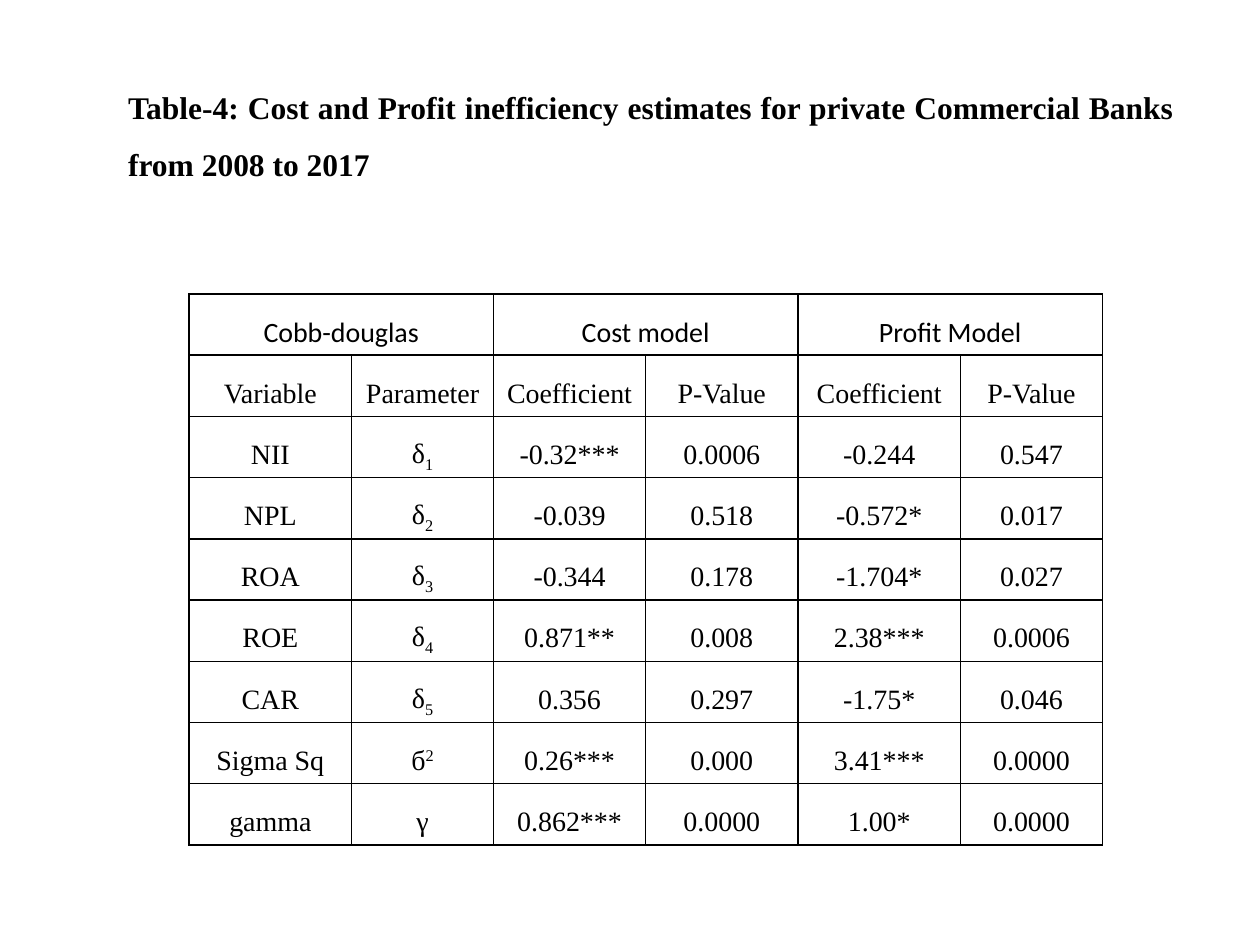
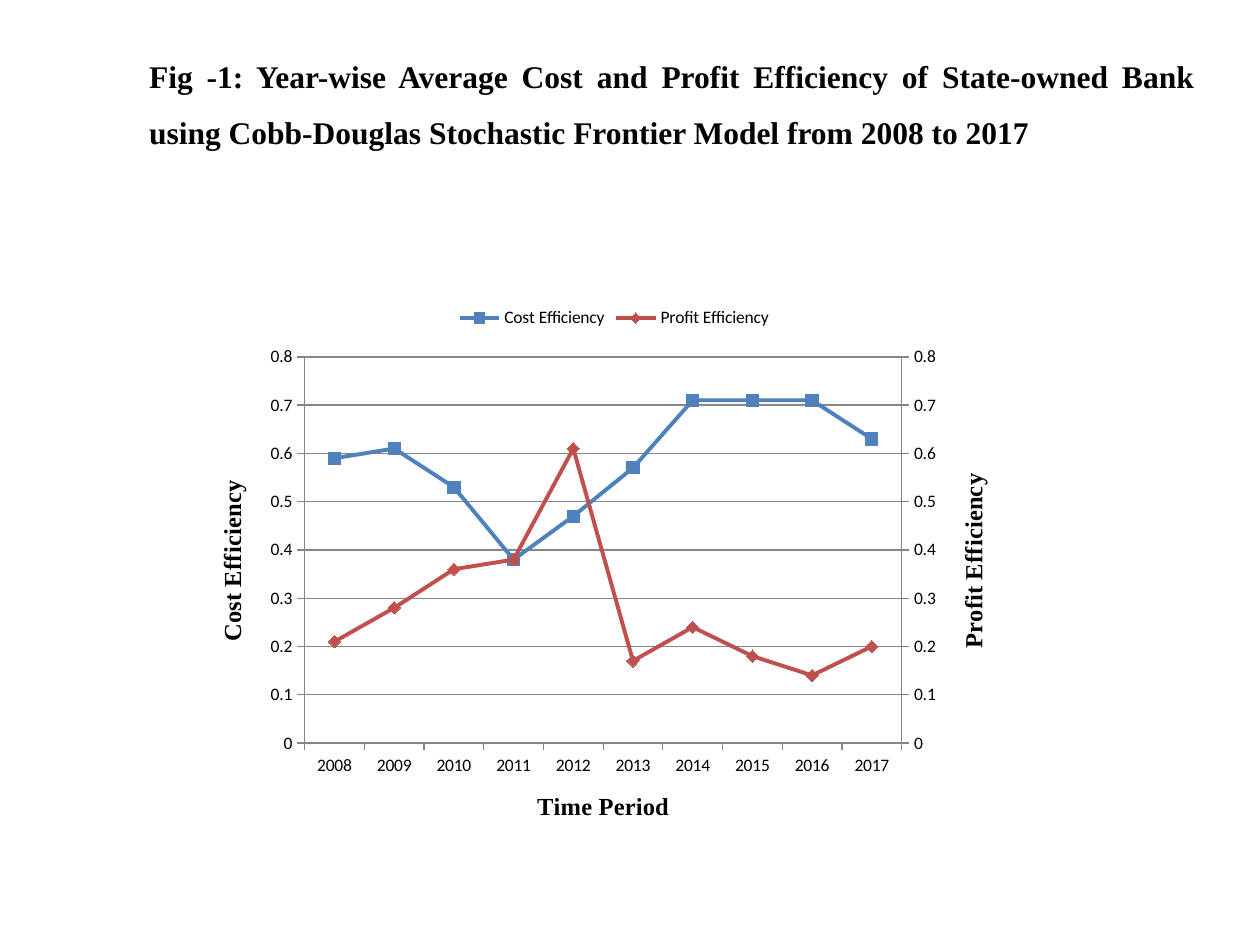
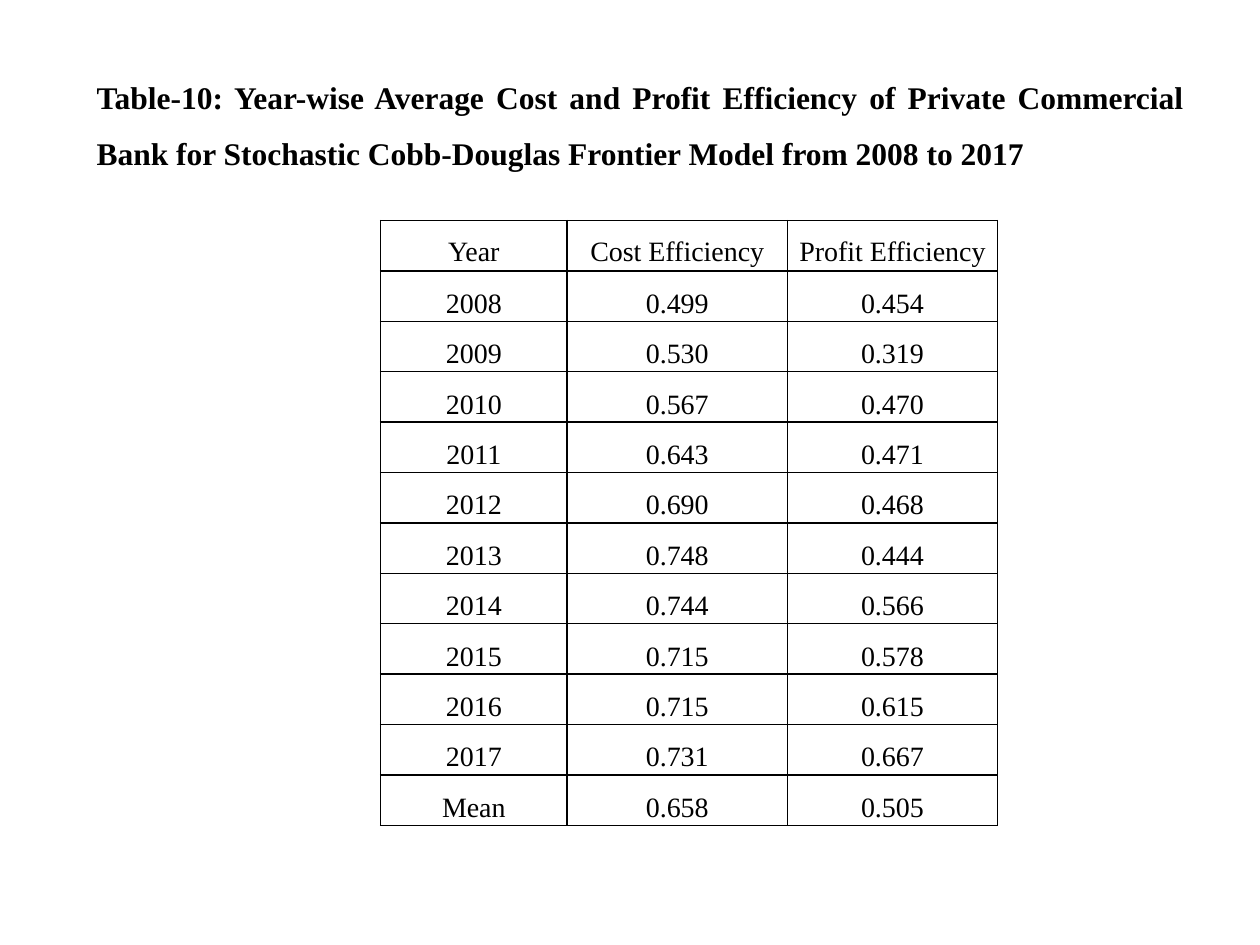
"""Build three slides on cost and profit efficiency of banks."""
from copy import deepcopy
from dataclasses import dataclass

from lxml import etree
from pptx import Presentation
from pptx.chart.data import CategoryChartData
from pptx.dml.color import RGBColor
from pptx.enum.chart import XL_CHART_TYPE, XL_LEGEND_POSITION, XL_MARKER_STYLE, XL_TICK_MARK
from pptx.enum.text import MSO_ANCHOR, MSO_AUTO_SIZE, PP_ALIGN
from pptx.oxml import parse_xml
from pptx.oxml.ns import nsdecls, qn
from pptx.util import Inches, Pt

TOP, MIDDLE = MSO_ANCHOR.TOP, MSO_ANCHOR.MIDDLE
CENTER, JUSTIFY = PP_ALIGN.CENTER, PP_ALIGN.JUSTIFY
GROW = MSO_AUTO_SIZE.SHAPE_TO_FIT_TEXT
LINE_MARKERS = XL_CHART_TYPE.LINE_MARKERS
LEGEND_TOP = XL_LEGEND_POSITION.TOP
SQUARE, DIAMOND = XL_MARKER_STYLE.SQUARE, XL_MARKER_STYLE.DIAMOND
TICK_OUT, TICK_NONE = XL_TICK_MARK.OUTSIDE, XL_TICK_MARK.NONE

COLORS = {"ink": "000000", "paper": "FFFFFF", "axis": "868686", "cost": "4F81BD", "profit": "C0504D"}
SERIF, SANS = "Times New Roman", "Calibri"
WIDTH, HEIGHT = Inches(10), Inches(7.5)
COLUMN, ROW = WIDTH / 120, HEIGHT / 90
BASELINES = {"_": "-25000", "^": "30000"}
TITLE_LAYOUT = 5


@dataclass(frozen=True)
class Area:
    """A rectangle in grid columns and rows."""
    left: float
    top: float
    width: float
    height: float

    def emu(self) -> tuple[int, int, int, int]:
        """Return the rectangle in slide units."""
        return (round(self.left * COLUMN), round(self.top * ROW),
                round(self.width * COLUMN), round(self.height * ROW))


@dataclass(frozen=True)
class Grid:
    """A bordered table with its widths in grid columns."""
    area: Area
    widths: tuple[float, ...]
    rows: tuple[tuple[str, ...], ...]
    head_font: str = SERIF
    head_anchor: MSO_ANCHOR = MIDDLE
    head_span: int = 1
    filled: bool = False


@dataclass(frozen=True)
class Efficiency:
    """One line of the chart."""
    name: str
    color: str
    marker: XL_MARKER_STYLE
    values: tuple[float, ...]


def rgb(name: str) -> RGBColor:
    """Look up a colour by name."""
    return RGBColor.from_string(COLORS[name])


def style_font(font, *, name: str, size: float, bold: bool = False) -> None:
    """Format a font in the ink colour."""
    font.name, font.size, font.bold = name, Pt(size), bold
    font.color.rgb = rgb("ink")


def write(frame, text: str, *, font: str = SERIF, size: float = 16, bold: bool = False,
          align: PP_ALIGN = CENTER) -> None:
    """Write one paragraph, where _ lowers and ^ raises what follows it."""
    paragraph = frame.paragraphs[0]
    paragraph.alignment, paragraph.line_spacing, paragraph.space_after = align, 1.5, Pt(10)
    mark = next((sign for sign in BASELINES if sign in text), "_")
    base, _, index = text.partition(mark)
    for part, baseline in ((base, None), (index, BASELINES[mark])):
        if part:
            run = paragraph.add_run()
            run.text = part
            style_font(run.font, name=font, size=size, bold=bold)
            if baseline:
                run.font._element.set("baseline", baseline)


def add_titled_slide(deck, title: str, area: Area):
    """Add a slide with its heading placed and formatted."""
    slide = deck.slides.add_slide(deck.slide_layouts[TITLE_LAYOUT])
    heading = slide.shapes.title
    heading.left, heading.top, heading.width, heading.height = area.emu()
    frame = heading.text_frame
    frame.word_wrap, frame.vertical_anchor, frame.auto_size = True, TOP, GROW
    write(frame, title, size=18, bold=True, align=JUSTIFY)
    return slide


def add_borders(cell) -> None:
    """Draw a one point line on each side of a cell."""
    properties = cell._tc.get_or_add_tcPr()
    for position, side in enumerate(("lnL", "lnR", "lnT", "lnB")):
        properties.insert(position, parse_xml(
            f'<a:{side} {nsdecls("a")} w="12700"><a:solidFill>'
            f'<a:srgbClr val="{COLORS["ink"]}"/></a:solidFill></a:{side}>'))


def add_grid(slide, grid: Grid) -> None:
    """Add a table with even rows."""
    table = slide.shapes.add_table(len(grid.rows), len(grid.widths), *grid.area.emu()).table
    table.first_row = table.horz_banding = False
    for column, width in zip(table.columns, grid.widths):
        column.width = round(width * COLUMN)
    for row in table.rows:
        row.height = round(grid.area.height * ROW / len(grid.rows))
    for r, texts in enumerate(grid.rows):
        step = 1 if r else grid.head_span
        for c in range(len(grid.widths)):
            cell = table.cell(r, c)
            cell.margin_left = cell.margin_right = Inches(0.07)
            cell.margin_top = cell.margin_bottom = 0
            cell.vertical_anchor = MIDDLE if r else grid.head_anchor
            if grid.filled:
                cell.fill.solid()
                cell.fill.fore_color.rgb = rgb("paper")
            else:
                cell.fill.background()
            add_borders(cell)
            if c % step == 0:
                if step > 1:
                    cell.merge(table.cell(r, c + step - 1))
                write(cell.text_frame, texts[c // step], font=SERIF if r else grid.head_font)


def style_axis(axis, title: str) -> None:
    """Give an axis its title, ticks and line."""
    axis.major_tick_mark, axis.minor_tick_mark = TICK_OUT, TICK_NONE
    axis.format.line.color.rgb = rgb("axis")
    frame = axis.axis_title.text_frame
    frame.text = title
    style_font(frame.paragraphs[0].runs[0].font, name=SERIF, size=14, bold=True)


def move_to_right_axis(chart, title: str) -> None:
    """Plot the last series against a second value axis on the right."""
    plot_area = chart._chartSpace.chart.plotArea
    left_lines = plot_area.find(qn("c:lineChart"))
    right_lines = deepcopy(left_lines)
    left_lines.remove(left_lines.findall(qn("c:ser"))[-1])
    right_lines.remove(right_lines.find(qn("c:ser")))
    left_lines.addnext(right_lines)
    categories, values = plot_area.find(qn("c:catAx")), plot_area.find(qn("c:valAx"))
    right_categories, right_values = deepcopy(categories), deepcopy(values)
    values.addnext(right_values)
    right_values.addnext(right_categories)
    new_ids = {axis.find(qn("c:axId")).get("val"): number
               for axis, number in ((categories, "5001"), (values, "5002"))}
    for part in (right_lines, right_categories, right_values):
        for tag in ("c:axId", "c:crossAx"):
            for reference in part.findall(qn(tag)):
                reference.set("val", new_ids[reference.get("val")])
    right_categories.find(qn("c:delete")).set("val", "1")
    right_categories.remove(right_categories.find(qn("c:title")))
    right_values.remove(right_values.find(qn("c:majorGridlines")))
    right_values.find(qn("c:axPos")).set("val", "r")
    right_values.find(qn("c:crosses")).set("val", "max")
    next(right_values.iter(qn("a:t"))).text = title


def set_plot_layout(chart, **shares: float) -> None:
    """Place the inner plot area by shares of the chart."""
    plot_area = chart._chartSpace.chart.plotArea
    for old in plot_area.findall(qn("c:layout")):
        plot_area.remove(old)
    layout = etree.Element(qn("c:layout"))
    manual = etree.SubElement(layout, qn("c:manualLayout"))
    settings = {"layoutTarget": "inner", "xMode": "edge", "yMode": "edge", **shares}
    for tag, value in settings.items():
        etree.SubElement(manual, qn(f"c:{tag}")).set("val", str(value))
    plot_area.insert(0, layout)


def add_efficiency_chart(slide, area: Area, years: tuple[str, ...],
                         lines: tuple[Efficiency, ...]) -> None:
    """Add a line chart with one value axis for each series."""
    data = CategoryChartData()
    data.categories = years
    for line in lines:
        data.add_series(line.name, line.values)
    chart = slide.shapes.add_chart(LINE_MARKERS, *area.emu(), data).chart
    style_font(chart.font, name=SANS, size=10)
    chart.has_title = False
    chart.has_legend = True
    chart.legend.position, chart.legend.include_in_layout = LEGEND_TOP, False
    chart.plots[0].vary_by_categories = False
    for series, line in zip(chart.plots[0].series, lines):
        series.smooth = False
        series.format.line.width = Pt(2.25)
        series.format.line.color.rgb = rgb(line.color)
        series.marker.style, series.marker.size = line.marker, 7
        series.marker.format.fill.solid()
        series.marker.format.fill.fore_color.rgb = rgb(line.color)
        series.marker.format.line.color.rgb = rgb(line.color)
    style_axis(chart.category_axis, "Time Period")
    scale = chart.value_axis
    style_axis(scale, lines[0].name)
    scale.minimum_scale, scale.maximum_scale, scale.major_unit = 0, 0.8, 0.1
    scale.has_major_gridlines = True
    scale.major_gridlines.format.line.color.rgb = rgb("axis")
    next(scale._element.iter(qn("a:bodyPr"))).set("rot", "-5400000")
    scale.axis_title._element.find(".//" + qn("a:bodyPr")).set("rot", "-5400000")
    for label_properties in scale._element.findall(qn("c:txPr")):
        label_properties.find(qn("a:bodyPr")).set("rot", "0")
    move_to_right_axis(chart, lines[1].name)
    set_plot_layout(chart, x=0.136, y=0.113, w=0.702, h=0.694)


YEARS = tuple(str(year) for year in range(2008, 2018))

ESTIMATES = Grid(
    Area(18, 28, 87, 52.5), (15.5, 13.5, 14.5, 14.5, 15.5, 13.5),
    (("Cobb-douglas", "Cost model", "Profit Model"),
     ("Variable", "Parameter", "Coefficient", "P-Value", "Coefficient", "P-Value"),
     ("NII", "δ_1", "-0.32***", "0.0006", "-0.244", "0.547"),
     ("NPL", "δ_2", "-0.039", "0.518", "-0.572*", "0.017"),
     ("ROA", "δ_3", "-0.344", "0.178", "-1.704*", "0.027"),
     ("ROE", "δ_4", "0.871**", "0.008", "2.38***", "0.0006"),
     ("CAR", "δ_5", "0.356", "0.297", "-1.75*", "0.046"),
     ("Sigma Sq", "б^2", "0.26***", "0.000", "3.41***", "0.0000"),
     ("gamma", "γ", "0.862***", "0.0000", "1.00*", "0.0000")),
    head_font=SANS, head_span=2)

PRIVATE_COST = ("0.499", "0.530", "0.567", "0.643", "0.690", "0.748", "0.744", "0.715", "0.715",
                "0.731", "0.658")
PRIVATE_PROFIT = ("0.454", "0.319", "0.470", "0.471", "0.468", "0.444", "0.566", "0.578", "0.615",
                  "0.667", "0.505")
PRIVATE_BANKS = Grid(
    Area(36.25, 21, 58.75, 57.6), (17.75, 21, 20),
    (("Year", "Cost Efficiency", "Profit Efficiency"),
     *zip((*YEARS, "Mean"), PRIVATE_COST, PRIVATE_PROFIT)),
    head_anchor=TOP, filled=True)

STATE_BANKS = (
    Efficiency("Cost Efficiency", "cost", SQUARE,
               (0.59, 0.61, 0.53, 0.38, 0.47, 0.57, 0.71, 0.71, 0.71, 0.63)),
    Efficiency("Profit Efficiency", "profit", DIAMOND,
               (0.21, 0.28, 0.36, 0.38, 0.61, 0.17, 0.24, 0.18, 0.14, 0.2)))


def main() -> None:
    """Build and save the deck."""
    deck = Presentation()
    deck.slide_width, deck.slide_height = WIDTH, HEIGHT
    estimates = add_titled_slide(
        deck, "Table-4: Cost and Profit inefficiency estimates for private Commercial Banks "
        "from 2008 to 2017", Area(11, 6, 102, 12))
    add_grid(estimates, ESTIMATES)
    state = add_titled_slide(
        deck, "Fig -1: Year-wise Average Cost and Profit Efficiency of State-owned Bank using "
        "Cobb-Douglas Stochastic Frontier Model from 2008 to 2017", Area(13, 3, 102, 11.5))
    add_efficiency_chart(state, Area(18, 28, 81, 53), YEARS, STATE_BANKS)
    private = add_titled_slide(
        deck, "Table-10: Year-wise Average Cost and Profit Efficiency of Private Commercial Bank "
        "for Stochastic Cobb-Douglas Frontier Model from 2008 to 2017", Area(8, 5, 106, 11.5))
    add_grid(private, PRIVATE_BANKS)
    deck.save("out.pptx")


main()
